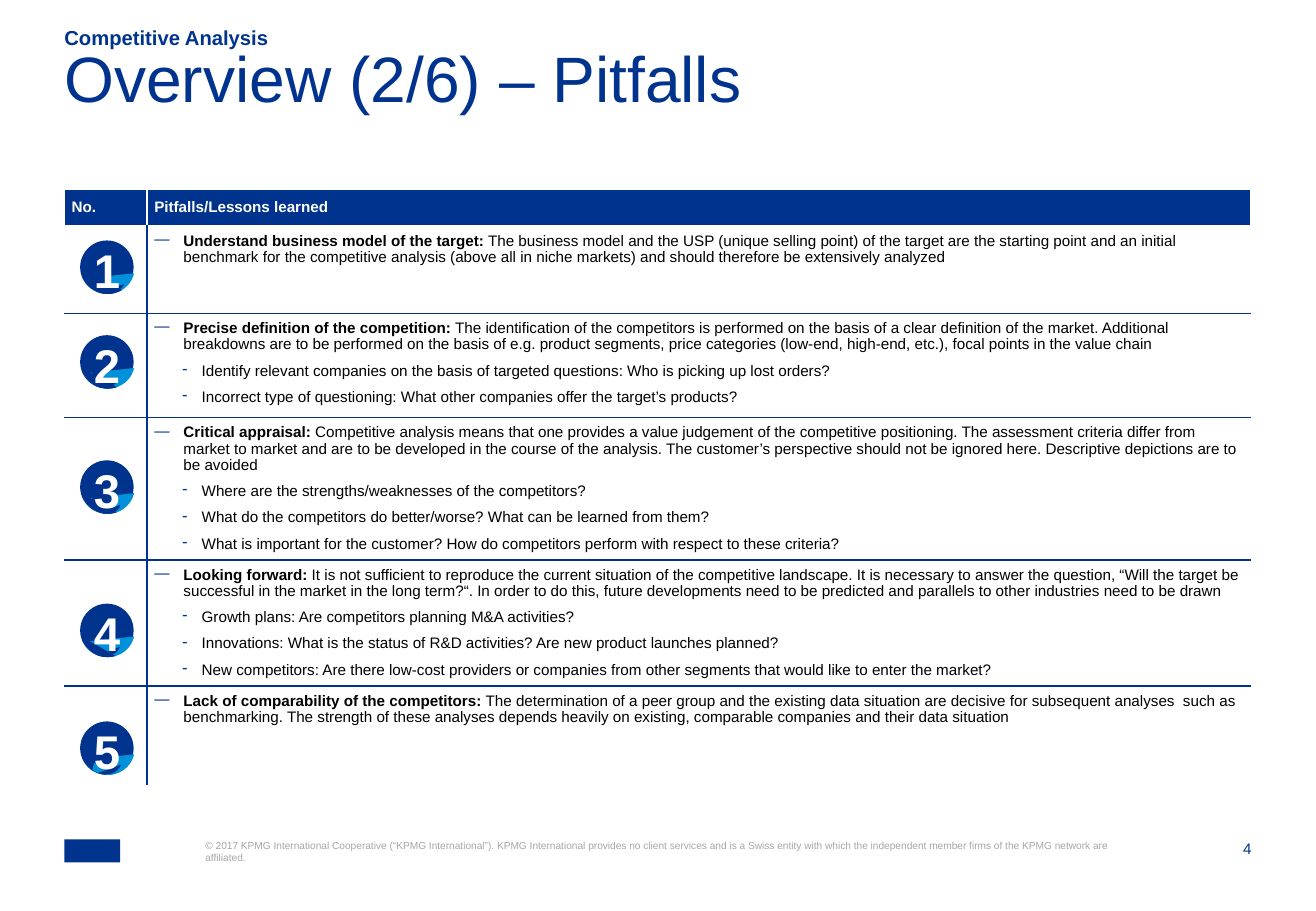
from math import cos, radians, sin
from lxml.etree import SubElement
from pptx import Presentation
from pptx.dml.color import RGBColor
from pptx.enum.shapes import MSO_SHAPE
from pptx.enum.text import MSO_ANCHOR, MSO_AUTO_SIZE, PP_ALIGN
from pptx.oxml import parse_xml
from pptx.oxml.ns import nsdecls, qn
from pptx.util import Inches, Pt

NAVY = RGBColor(0x00, 0x33, 0x8D)
SKY = RGBColor(0x00, 0x91, 0xDA)
WHITE = RGBColor(0xFF, 0xFF, 0xFF)
BLACK = RGBColor(0x00, 0x00, 0x00)
GREY = RGBColor(0xA6, 0xA6, 0xA6)


def style(run, size, color, bold=False):
    run.font.name = "Arial"
    run.font.size = Pt(size)
    run.font.color.rgb = color
    run.font.bold = bold


def paint(shape, color):
    shape.shadow.inherit = False
    shape.fill.solid()
    shape.fill.fore_color.rgb = color
    shape.line.fill.background()


deck = Presentation()
deck.slide_width, deck.slide_height = Inches(10.83), Inches(7.5)
slide = deck.slides.add_slide(deck.slide_layouts[5])
shapes = slide.shapes

legal = "© 2017 KPMG International Cooperative (“KPMG International”). KPMG International provides no client services and is a Swiss entity with which the independent member firms of the KPMG network are affiliated."
labels = [
    (shapes.title, "Overview (2/6) – Pitfalls", (0.53, 0.49, 9.76, 0.79), 38, NAVY, False),
    (None, "Competitive Analysis", (0.53, 0.22, 9.4, 0.19), 12, NAVY, True),
    (None, legal, (1.69, 6.91, 7.49, 0.41), 6, GREY, False),
    (None, "4", (9.87, 6.91, 0.43, 0.16), 9, NAVY, False),
]
for box, text, place, size, color, bold in labels:
    left, top, width, height = [Inches(v) for v in place]
    if box is None:
        box = shapes.add_textbox(left, top, width, height)
    box.left, box.top, box.width, box.height = left, top, width, height
    frame = box.text_frame
    frame.text = text
    frame.word_wrap = True
    frame.auto_size = MSO_AUTO_SIZE.NONE
    frame.vertical_anchor = MSO_ANCHOR.BOTTOM if bold else MSO_ANCHOR.TOP
    frame.margin_left = frame.margin_right = frame.margin_top = frame.margin_bottom = 0
    para = frame.paragraphs[0]
    para.alignment = PP_ALIGN.RIGHT if text == "4" else PP_ALIGN.LEFT
    style(para.runs[0], size, color, bold)
shapes.title.text_frame.paragraphs[0].line_spacing = 0.7

mark = shapes.add_shape(MSO_SHAPE.RECTANGLE, Inches(0.53), Inches(6.91), Inches(0.46), Inches(0.19))
paint(mark, NAVY)

lessons = [
    ("Understand business model of the target: ",
     "The business model and the USP (unique selling point) of the target are the starting point and an initial benchmark for the competitive analysis (above all in niche markets) and should therefore be extensively analyzed",
     []),
    ("Precise definition of the competition: ",
     "The identification of the competitors is performed on the basis of a clear definition of the market. Additional breakdowns are to be performed on the basis of e.g. product segments, price categories (low-end, high-end, etc.), focal points in the value chain",
     ["Identify relevant companies on the basis of targeted questions: Who is picking up lost orders?",
      "Incorrect type of questioning: What other companies offer the target’s products?"]),
    ("Critical appraisal: ",
     "Competitive analysis means that one provides a value judgement of the competitive positioning. The assessment criteria differ from market to market and are to be developed in the course of the analysis. The customer’s perspective should not be ignored here. Descriptive depictions are to be avoided",
     ["Where are the strengths/weaknesses of the competitors?",
      "What do the competitors do better/worse? What can be learned from them?",
      "What is important for the customer? How do competitors perform with respect to these criteria?"]),
    ("Looking forward: ",
     "It is not sufficient to reproduce the current situation of the competitive landscape. It is necessary to answer the question, “Will the target be successful in the market in the long term?“. In order to do this, future developments need to be predicted and parallels to other industries need to be drawn",
     ["Growth plans: Are competitors planning M&A activities?",
      "Innovations: What is the status of R&D activities? Are new product launches planned?",
      "New competitors: Are there low-cost providers or companies from other segments that would like to enter the market?"]),
    ("Lack of comparability of the competitors: ",
     "The determination of a peer group and the existing data situation are decisive for subsequent analyses  such as benchmarking. The strength of these analyses depends heavily on existing, comparable companies and their data situation",
     []),
]
rows = [0.3, 0.72, 0.86, 1.17, 1.04, 0.82]
table = shapes.add_table(6, 2, Inches(0.53), Inches(1.56), Inches(9.76), Inches(sum(rows))).table
table.first_row = table.horz_banding = False
table.columns[0].width, table.columns[1].width = Inches(0.68), Inches(9.08)
for r, height in enumerate(rows):
    table.rows[r].height = Inches(height)
    for c in range(2):
        cell = table.cell(r, c)
        cell.margin_left = cell.margin_right = cell.margin_top = cell.margin_bottom = Inches(0.06)
        cell.fill.solid()
        cell.fill.fore_color.rgb = NAVY if r == 0 else WHITE
        inner = NAVY if r else WHITE
        edges = {
            "lnL": inner if c else WHITE,
            "lnR": WHITE if c else inner,
            "lnT": NAVY if r > 1 else WHITE,
            "lnB": NAVY if 0 < r < 5 else WHITE,
        }
        props = cell._tc.get_or_add_tcPr()
        for i, (tag, color) in enumerate(edges.items()):
            props.insert(i, parse_xml(
                f'<a:{tag} {nsdecls("a")} w="12700"><a:solidFill>'
                f'<a:srgbClr val="{color}"/></a:solidFill></a:{tag}>'))

for c, text in enumerate(["No.", "Pitfalls/Lessons learned"]):
    cell = table.cell(0, c)
    cell.text_frame.text = text
    cell.vertical_anchor = MSO_ANCHOR.MIDDLE
    para = cell.text_frame.paragraphs[0]
    para.line_spacing = 0.95
    style(para.runs[0], 9, WHITE, True)

for r, (head, body, points) in enumerate(lessons, 1):
    frame = table.cell(r, 1).text_frame
    for i, text in enumerate([head] + points):
        para = frame.add_paragraph() if i else frame.paragraphs[0]
        para.text = text
        para.level = 1 if i else 0
        para.line_spacing = 0.95
        para.space_after = Pt(6)
        props = para._p.get_or_add_pPr()
        props.set("marL", str(Inches(0.39 if i else 0.24)))
        props.set("indent", str(Inches(-0.16 if i else -0.24)))
        SubElement(SubElement(props, qn("a:buClr")), qn("a:srgbClr")).set("val", str(NAVY))
        SubElement(props, qn("a:buChar")).set("char", "-" if i else "—")
        style(para.runs[0], 9, BLACK, i == 0)
        if i == 0:
            run = para.add_run()
            run.text = body
            style(run, 9, BLACK)

arc = [(0.23 + 0.22 * cos(radians(a)), 0.22 + 0.22 * sin(radians(a))) for a in range(126, 271, 12)]
cap = arc + [(0.31, 0.11), (0.18, 0.11), (0.1, 0.39)]
badges = [
    (1.98, 58.23, [(0.1, 0.05), (0.25, 0.05), (0.25, 0.36), (0.1, 0.36)], (0.05, 0.1, 0.34, 0.34), 315, 77.05, 166.04),
    (2.76, 70.86, [(0.1, 0.06), (0.29, 0.07), (0.18, 0.37), (0.1, 0.37)], (0.05, 0.15, 0.23, 0.31), 306.1, 81.95, 166.04),
    (3.79, 71, [(0.1, 0.06), (0.26, 0.07), (0.26, 0.36), (0.1, 0.37)], (0.07, 0.16, 0.23, 0.31), 298, 81.95, 166.04),
    (4.97, 73.73, [(0.1, 0.05), (0.26, 0.06), (0.25, 0.28), (0.1, 0.29)], (0.05, 0.14, 0.27, 0.31), 301.1, 81.95, 168.3),
    (5.94, None, [(0.1, 0.05), (0.19, 0.21), (0.27, 0.22), (0.26, 0.36), (0.1, 0.34)], (0.06, 0.14, 0.27, 0.31), 301.1, 81.95, 168.3),
]
for n, (top, cut, patch, tilt, turn, start, end) in enumerate(badges, 1):
    group = shapes.add_group_shape().shapes
    disc = (0, 0, 0.44, 0.44)
    face = (0.01, 0, 0.44, 0.44)
    parts = [(disc, 0, None, NAVY), (face, 0, (13.23, 154.41), SKY)]
    if cut:
        parts.append((face, 0, (cut, 166.04), NAVY))
    parts.append((tilt, turn, (start, end), NAVY))
    for (x, y, w, h), spin, angles, color in parts:
        kind = MSO_SHAPE.CHORD if angles else MSO_SHAPE.OVAL
        part = group.add_shape(kind, Inches(0.66 + x), Inches(top + y), Inches(w), Inches(h))
        part.rotation = spin
        if angles:
            for i, angle in enumerate(angles):
                part.adjustments[i] = angle * 0.6
        paint(part, color)
    for outline in [patch] if cut else [cap, patch]:
        dots = [(Inches(0.66 + x), Inches(top + y)) for x, y in outline]
        pen = group.build_freeform(*dots[0])
        pen.add_line_segments(dots[1:], close=True)
        paint(pen.convert_to_shape(), NAVY)
    box = group.add_textbox(Inches(0.67), Inches(top - 0.04), Inches(0.42), Inches(0.57))
    box.text_frame.text = str(n)
    box.text_frame.word_wrap = False
    para = box.text_frame.paragraphs[0]
    para.alignment = PP_ALIGN.CENTER
    style(para.runs[0], 28, WHITE, True)

deck.save("out.pptx")
